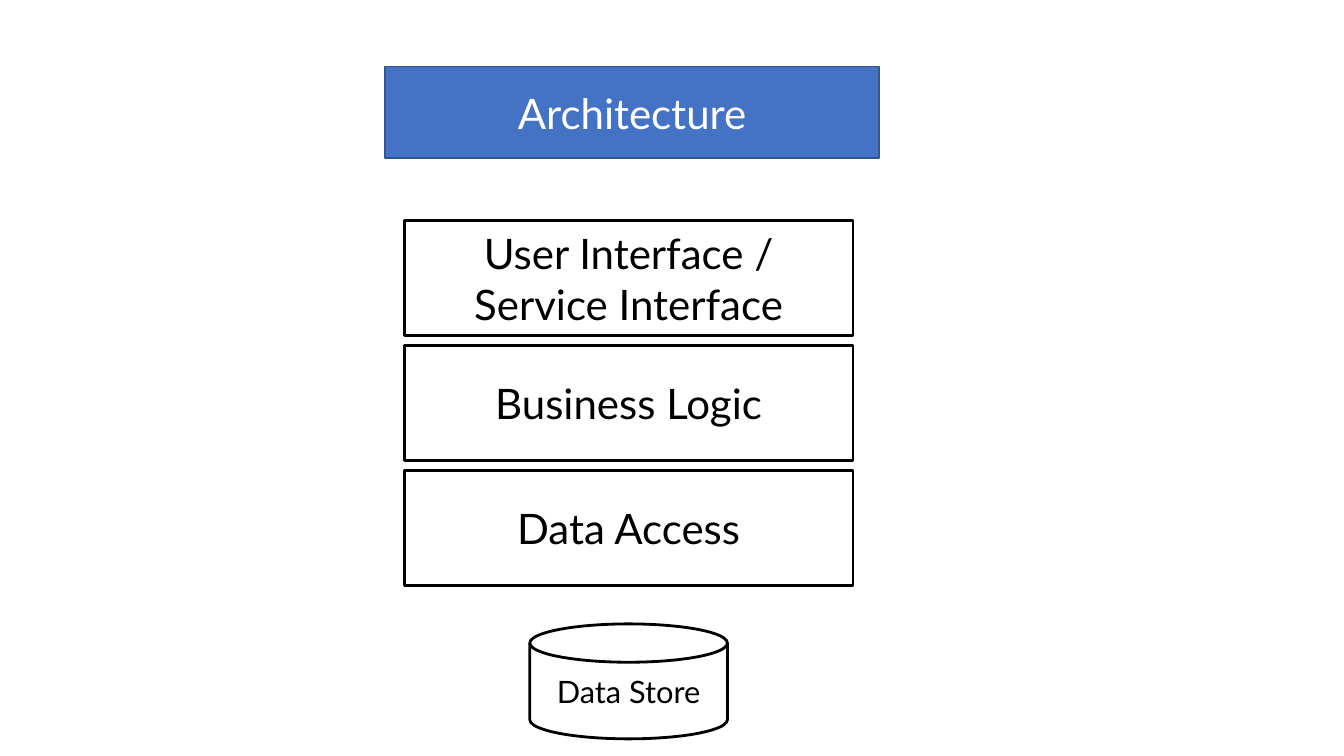
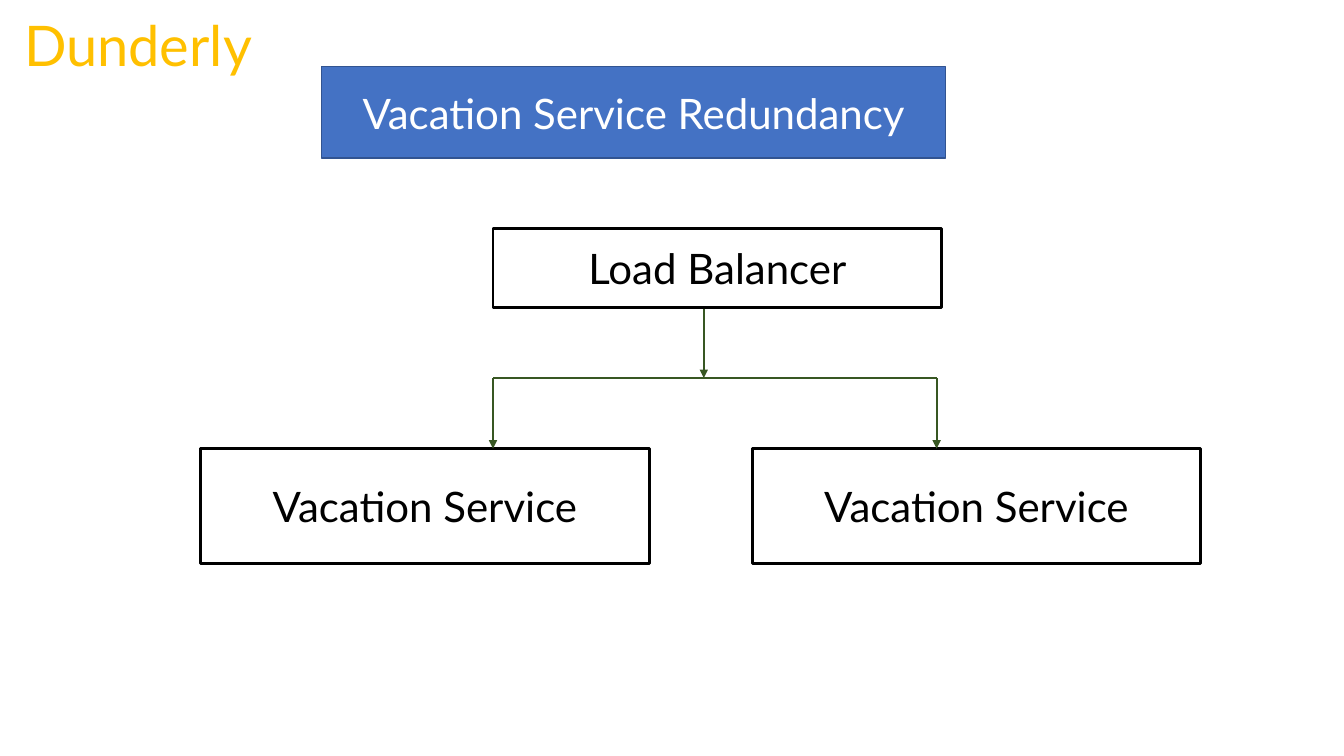
"""Build two architecture slides: the layer stack and the service redundancy."""
import pptx
import pptx.dml.color
import pptx.enum.shapes
import pptx.enum.text
import pptx.oxml
import pptx.oxml.ns
import pptx.util
from pptx.util import Inches

COLORS = {
    "title_fill": "4472C4",
    "title_line": "325491",
    "title_text": "FFFFFF",
    "ink": "000000",
    "brand": "FFC000",
    "arrow": "385723",
}
FONT = "Lato"
SHAPES = pptx.enum.shapes.MSO_SHAPE
BOX_WIDTH, BOX_HEIGHT = 4.45, 1.14

ARCHITECTURE = {"title": "Architecture", "left": 3.82, "width": 4.9}
LAYERS = ["User Interface / Service Interface", "Business Logic", "Data Access"]
STACK_LEFT, STACK_TOP, STACK_STEP = 4.01, 2.19, 1.24
STORE = {"text": "Data Store", "top": 6.19, "width": 1.96}

REDUNDANCY = {"title": "Vacation Service Redundancy", "left": 3.19, "width": 6.19}
BRAND = "Dunderly"
BALANCER = {"text": "Load Balancer", "left": 4.89, "top": 2.27, "height": 0.78}
SERVICES = [
    {"text": "Vacation Service", "left": 1.99, "arrow": 4.89},
    {"text": "Vacation Service", "left": 7.46, "arrow": 9.29},
]
TRUNK_X, ARROW_LENGTH = 6.98, 0.7


def rgb(name):
    return pptx.dml.color.RGBColor.from_string(COLORS[name])


def write(shape, text, size, color, align):
    para = shape.text_frame.paragraphs[0]
    para.text = text
    para.alignment = align
    para.font.name = FONT
    para.font.size = pptx.util.Pt(size)
    para.font.color.rgb = rgb(color)


def add_box(page, text, left, top, width=BOX_WIDTH, height=BOX_HEIGHT, size=30,
            kind=SHAPES.RECTANGLE, fill=None, line="ink", weight=2, color="ink"):
    box = page.shapes.add_shape(
        kind, Inches(left), Inches(top), Inches(width), Inches(height))
    box.shadow.inherit = False
    if fill:
        box.fill.solid()
        box.fill.fore_color.rgb = rgb(fill)
    else:
        box.fill.background()
    box.line.color.rgb = rgb(line)
    box.line.width = pptx.util.Pt(weight)
    box.text_frame.word_wrap = True
    box.text_frame.vertical_anchor = pptx.enum.text.MSO_ANCHOR.MIDDLE
    write(box, text, size, color, pptx.enum.text.PP_ALIGN.CENTER)


def add_line(page, start, end, arrow=True):
    line = page.shapes.add_connector(
        pptx.enum.shapes.MSO_CONNECTOR.STRAIGHT,
        *(Inches(value) for value in start + end))
    line.line.color.rgb = rgb("arrow")
    line.line.width = pptx.util.Pt(1.5)
    properties = line.line._get_or_add_ln()
    if arrow:
        head = pptx.oxml.parse_xml(
            f'<a:tailEnd {pptx.oxml.ns.nsdecls("a")} type="triangle"/>')
        properties.append(head)
    properties.addnext(
        pptx.oxml.parse_xml(f'<a:effectLst {pptx.oxml.ns.nsdecls("a")}/>'))


def add_page(deck, heading):
    page = deck.slides.add_slide(deck.slide_layouts[6])
    add_box(page, heading["title"], heading["left"], 0.66, heading["width"], 0.91,
            fill="title_fill", line="title_line", weight=1, color="title_text")
    return page


def add_architecture(deck):
    page = add_page(deck, ARCHITECTURE)
    for row, layer in enumerate(LAYERS):
        add_box(page, layer, STACK_LEFT, STACK_TOP + row * STACK_STEP)
    store_left = STACK_LEFT + (BOX_WIDTH - STORE["width"]) / 2
    add_box(page, STORE["text"], store_left, STORE["top"], STORE["width"],
            size=22, kind=SHAPES.FLOWCHART_MAGNETIC_DISK)


def add_redundancy(deck):
    page = add_page(deck, REDUNDANCY)
    brand = page.shapes.add_textbox(
        Inches(0.14), Inches(0.06), Inches(2.75), Inches(0.77))
    brand.text_frame.word_wrap = True
    brand.text_frame.auto_size = pptx.enum.text.MSO_AUTO_SIZE.SHAPE_TO_FIT_TEXT
    write(brand, BRAND, 40, "brand", pptx.enum.text.PP_ALIGN.LEFT)

    trunk_top = BALANCER["top"] + BALANCER["height"]
    branch_y = trunk_top + ARROW_LENGTH
    service_top = branch_y + ARROW_LENGTH
    for service in SERVICES:
        add_box(page, service["text"], service["left"], service_top)
        add_line(page, (service["arrow"], branch_y), (service["arrow"], service_top))
    add_line(page, (TRUNK_X, trunk_top), (TRUNK_X, branch_y))
    add_line(page, (SERVICES[0]["arrow"], branch_y),
             (SERVICES[-1]["arrow"], branch_y), arrow=False)
    add_box(page, **BALANCER)


def main():
    deck = pptx.Presentation()
    deck.slide_width, deck.slide_height = Inches(13.33), Inches(7.5)
    add_architecture(deck)
    add_redundancy(deck)
    deck.save("out.pptx")


if __name__ == "__main__":
    main()
